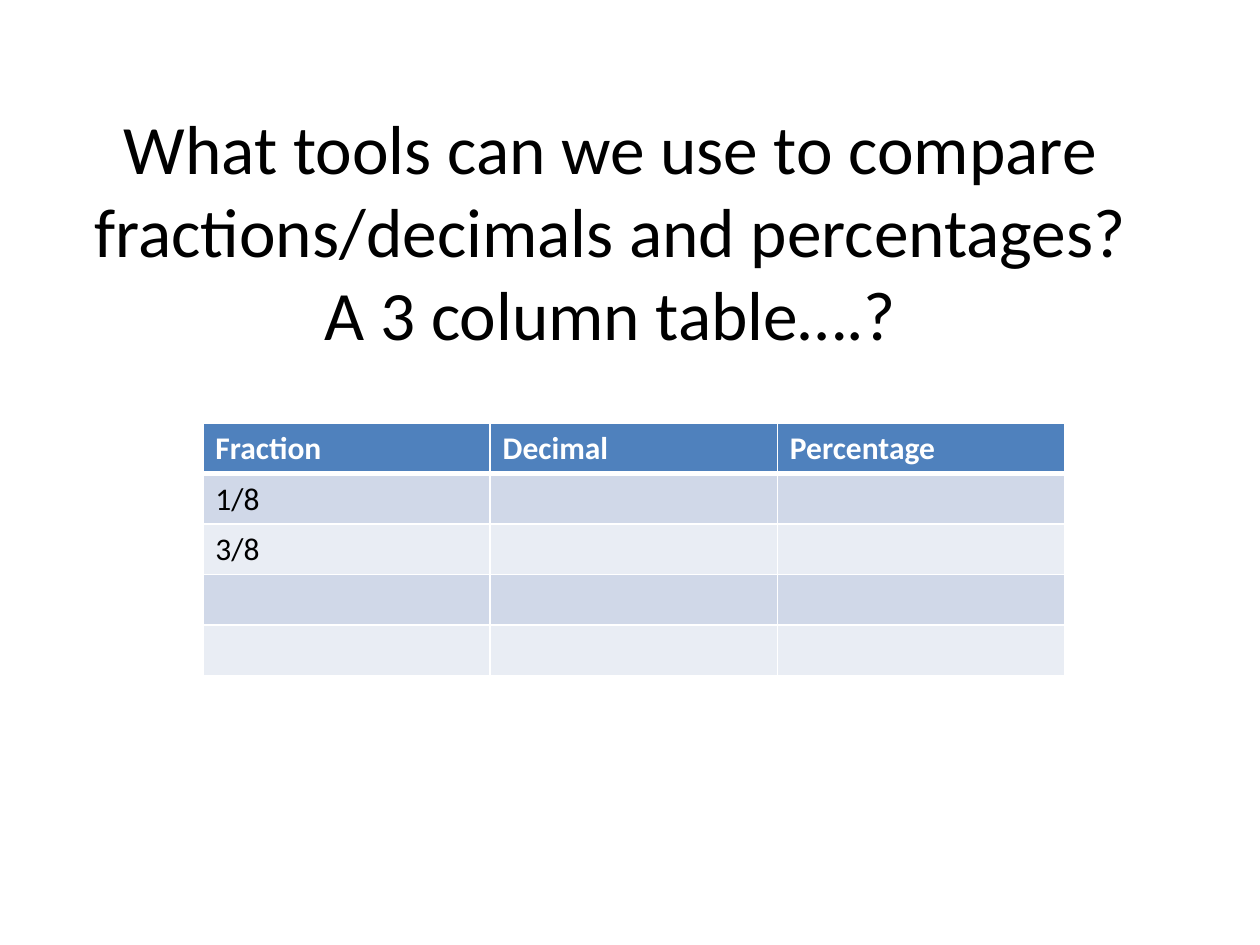
"""Build a slide that asks for tools to compare fractions, decimals and percentages."""
from lxml.etree import SubElement
from pptx import Presentation
from pptx.dml.color import RGBColor
from pptx.enum.text import MSO_ANCHOR, PP_ALIGN
from pptx.oxml.ns import qn
from pptx.util import Inches, Pt

TITLE = "What tools can we use to compare fractions/decimals and percentages?\vA 3 column table….?"
ROWS = [
    ("Fraction", "Decimal", "Percentage"),
    ("1/8", "", ""),
    ("3/8", "", ""),
    ("", "", ""),
    ("", "", ""),
]
HEAD, BANDS = "4F81BD", ("E9EDF4", "D0D8E8")
WHITE, BLACK = "FFFFFF", "000000"
WIDE, HIGH = 2.28, 0.4


def color(code):
    return RGBColor.from_string(code)


def style(para, size, code, bold=False):
    font = para.font
    font.name, font.size, font.bold = "Calibri", Pt(size), bold
    font.color.rgb = color(code)


def border(cell, side, width):
    line = SubElement(cell._tc.get_or_add_tcPr(), qn(f"a:ln{side}"), w=str(Pt(width)))
    fill = SubElement(line, qn("a:solidFill"))
    SubElement(fill, qn("a:srgbClr"), val=WHITE)


def add_title(slide):
    box = slide.shapes.add_textbox(Inches(0.43), Inches(0.82), Inches(8.83), Inches(2.01))
    frame = box.text_frame
    frame.word_wrap = True
    frame.vertical_anchor = MSO_ANCHOR.MIDDLE
    frame.text = TITLE
    para = frame.paragraphs[0]
    para.alignment = PP_ALIGN.CENTER
    style(para, 39.6, BLACK)


def add_grid(slide):
    count, cols = len(ROWS), len(ROWS[0])
    table = slide.shapes.add_table(
        count, cols, Inches(1.61), Inches(3.36), Inches(WIDE * cols), Inches(HIGH * count)
    ).table
    for r, row in enumerate(ROWS):
        head = r == 0
        for c, text in enumerate(row):
            cell = table.cell(r, c)
            cell.text = text
            style(cell.text_frame.paragraphs[0], 18, WHITE if head else BLACK, head)
            for side in "LRTB":
                thick = (side == "B" and r == 0) or (side == "T" and r == 1)
                border(cell, side, 3 if thick else 1)
            cell.fill.solid()
            cell.fill.fore_color.rgb = color(HEAD if head else BANDS[r % 2])


def main():
    deck = Presentation()
    deck.slide_width, deck.slide_height = Inches(10), Inches(7.5)
    slide = deck.slides.add_slide(deck.slide_layouts[6])
    add_title(slide)
    add_grid(slide)
    deck.save("out.pptx")


if __name__ == "__main__":
    main()
